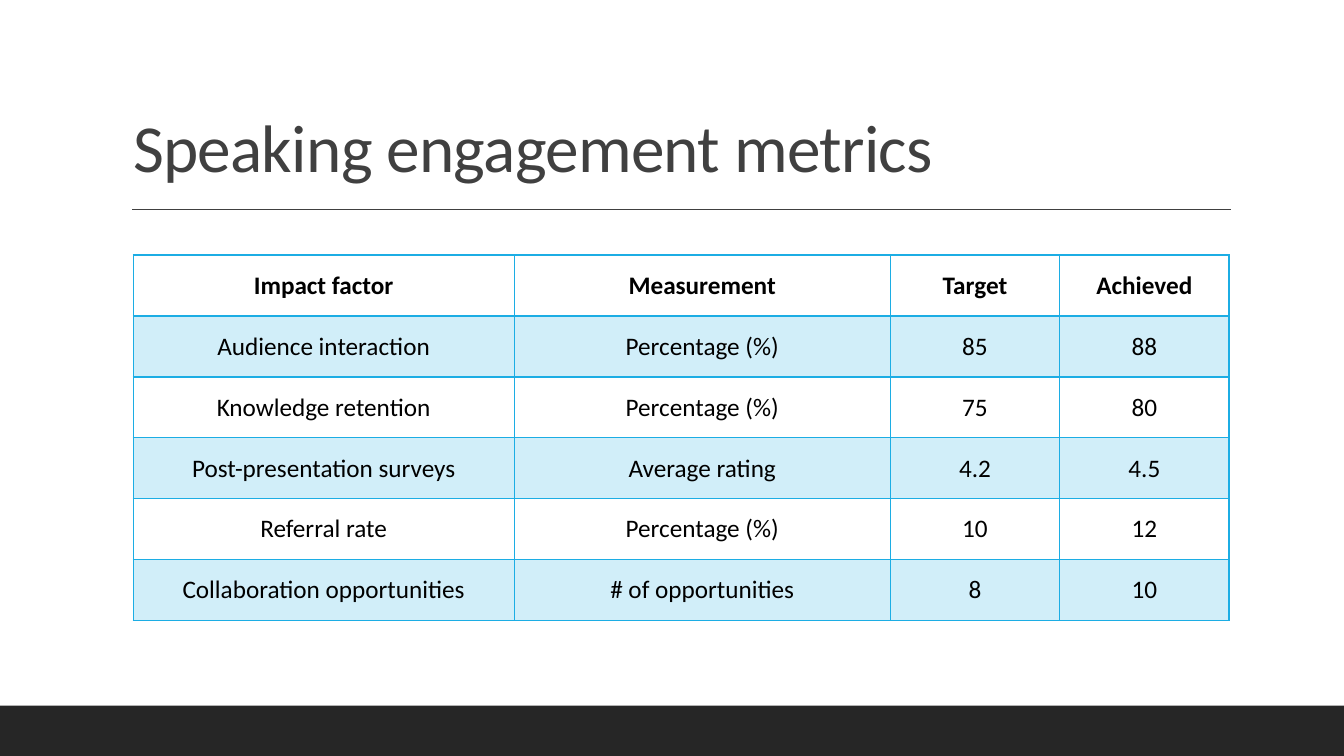
from pptx import Presentation
from pptx.dml.color import RGBColor
from pptx.enum.shapes import MSO_CONNECTOR, MSO_SHAPE
from pptx.enum.text import MSO_ANCHOR, PP_ALIGN
from pptx.oxml.ns import qn
from pptx.util import Inches, Pt
from lxml.etree import SubElement

METRICS = [
    ("Impact factor", "Measurement", "Target", "Achieved"),
    ("Audience interaction", "Percentage (%)", "85", "88"),
    ("Knowledge retention", "Percentage (%)", "75", "80"),
    ("Post-presentation surveys", "Average rating", "4.2", "4.5"),
    ("Referral rate", "Percentage (%)", "10", "12"),
    ("Collaboration opportunities", "# of opportunities", "8", "10"),
]
COLUMN_WIDTHS = (3.78, 3.73, 1.68, 1.68)
ROW_HEIGHT = 0.605


def rgb(hex_color):
    return RGBColor.from_string(hex_color)


def write(frame, text, size=18, color="000000", bold=False, align=PP_ALIGN.LEFT,
          anchor=MSO_ANCHOR.MIDDLE, line_spacing=1.0, tracking=0):
    """Fill a text frame with one formatted paragraph; tracking is in points."""
    frame.word_wrap = True
    frame.vertical_anchor = anchor
    paragraph = frame.paragraphs[0]
    paragraph.alignment = align
    paragraph.line_spacing = line_spacing
    run = paragraph.add_run()
    run.text = text
    run.font.name = SlideBuilder.FONT
    run.font.size = Pt(size)
    run.font.bold = bold
    run.font.color.rgb = rgb(color)
    if tracking:
        run.font._element.set("spc", str(round(tracking * 100)))


class SlideBuilder:
    FONT = "Calibri"
    GRAY = "404040"
    FOOTER = "262626"
    ACCENT = "1CADE4"
    BAND_OPACITY = 20

    def __init__(self, slide):
        self.shapes = slide.shapes

    def bar(self, left, top, width, height):
        bar = self.shapes.add_shape(MSO_SHAPE.RECTANGLE, Inches(left), Inches(top),
                                    Inches(width), Inches(height))
        bar.shadow.inherit = False
        bar.fill.solid()
        bar.fill.fore_color.rgb = rgb(self.FOOTER)
        bar.line.fill.background()

    def rule(self, left, right, y):
        rule = self.shapes.add_connector(MSO_CONNECTOR.STRAIGHT, Inches(left), Inches(y),
                                         Inches(right), Inches(y))
        rule.line.color.rgb = rgb(self.GRAY)
        rule.line.width = Pt(1)
        SubElement(rule._element.spPr, qn("a:effectLst"))

    def title(self, text, left, top, width, height):
        frame = self.shapes.add_textbox(Inches(left), Inches(top),
                                        Inches(width), Inches(height)).text_frame
        frame.margin_left = 0
        write(frame, text, size=48, color=self.GRAY, anchor=MSO_ANCHOR.BOTTOM,
              line_spacing=0.9, tracking=-0.5)

    def table(self, rows, left, top, widths, row_height):
        table = self.shapes.add_table(
            len(rows), len(widths), Inches(left), Inches(top),
            Inches(sum(widths)), Inches(row_height * len(rows))).table
        table.first_row = table.horz_banding = False
        for column, width in zip(table.columns, widths):
            column.width = Inches(width)
        for r, texts in enumerate(rows):
            table.rows[r].height = Inches(row_height)
            for c, text in enumerate(texts):
                cell = table.cell(r, c)
                write(cell.text_frame, text, bold=r == 0, align=PP_ALIGN.CENTER)
                cell.vertical_anchor = MSO_ANCHOR.MIDDLE
                self.borders(cell, bottom=2 if r == 0 else 1)
                self.band(cell, filled=r % 2 == 1)

    def borders(self, cell, bottom):
        properties = cell._tc.get_or_add_tcPr()
        for side, width in (("L", 1), ("R", 1), ("T", 1), ("B", bottom)):
            line = SubElement(properties, qn(f"a:ln{side}"), w=str(Pt(width)))
            fill = SubElement(line, qn("a:solidFill"))
            SubElement(fill, qn("a:srgbClr"), val=self.ACCENT)

    def band(self, cell, filled):
        if not filled:
            cell.fill.background()
            return
        cell.fill.solid()
        cell.fill.fore_color.rgb = rgb(self.ACCENT)
        color = cell._tc.tcPr.find(qn("a:solidFill")).find(qn("a:srgbClr"))
        SubElement(color, qn("a:alpha"), val=str(self.BAND_OPACITY * 1000))


def main():
    deck = Presentation()
    deck.slide_width, deck.slide_height = Inches(13.33), Inches(7.5)
    builder = SlideBuilder(deck.slides.add_slide(deck.slide_layouts[6]))
    builder.bar(0, 7, 13.33, 0.5)
    builder.rule(1.31, 12.21, 2.08)
    builder.title("Speaking engagement metrics", 1.32, 0.31, 10.88, 1.59)
    builder.table(METRICS, 1.32, 2.53, COLUMN_WIDTHS, ROW_HEIGHT)
    deck.save("out.pptx")


if __name__ == "__main__":
    main()
